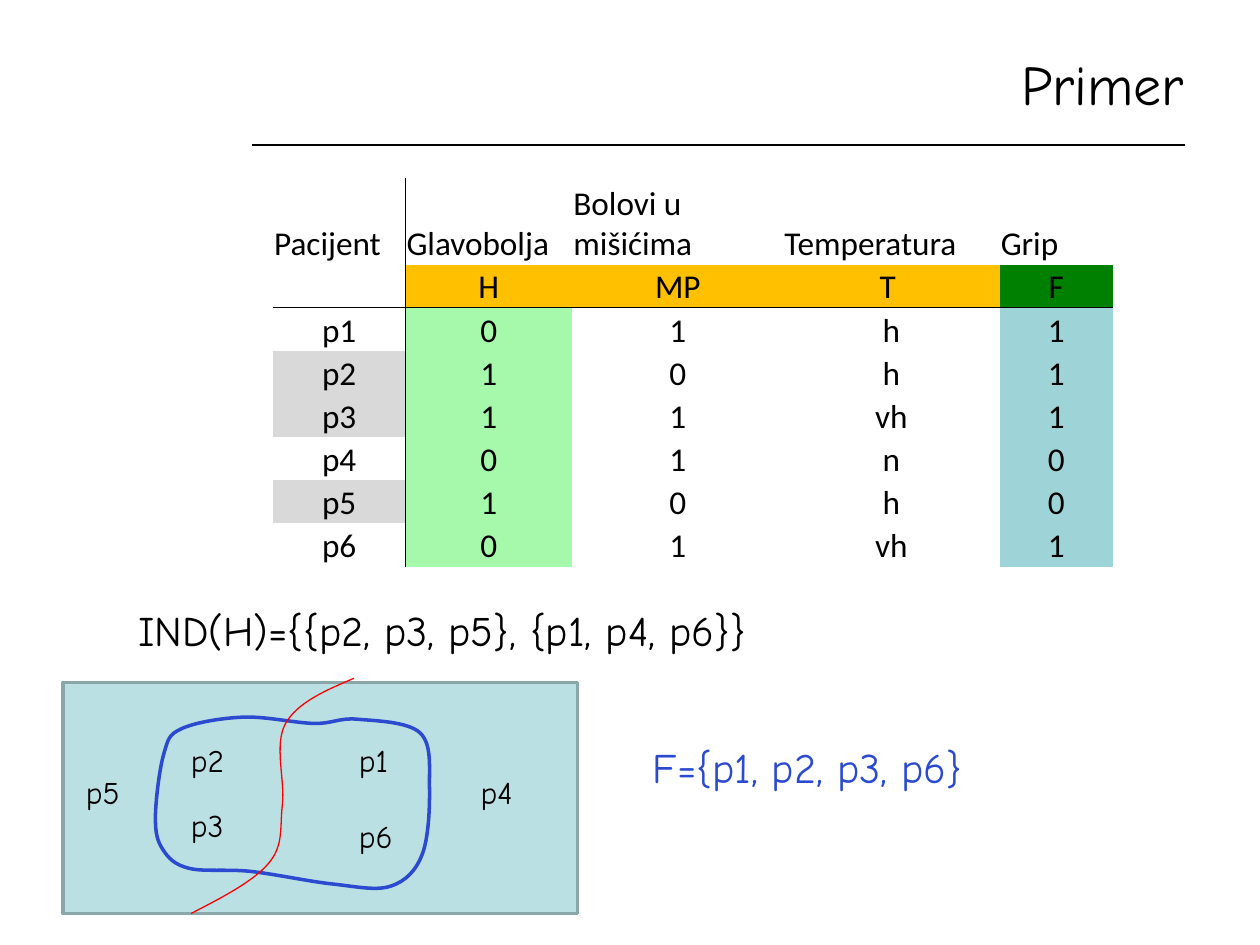
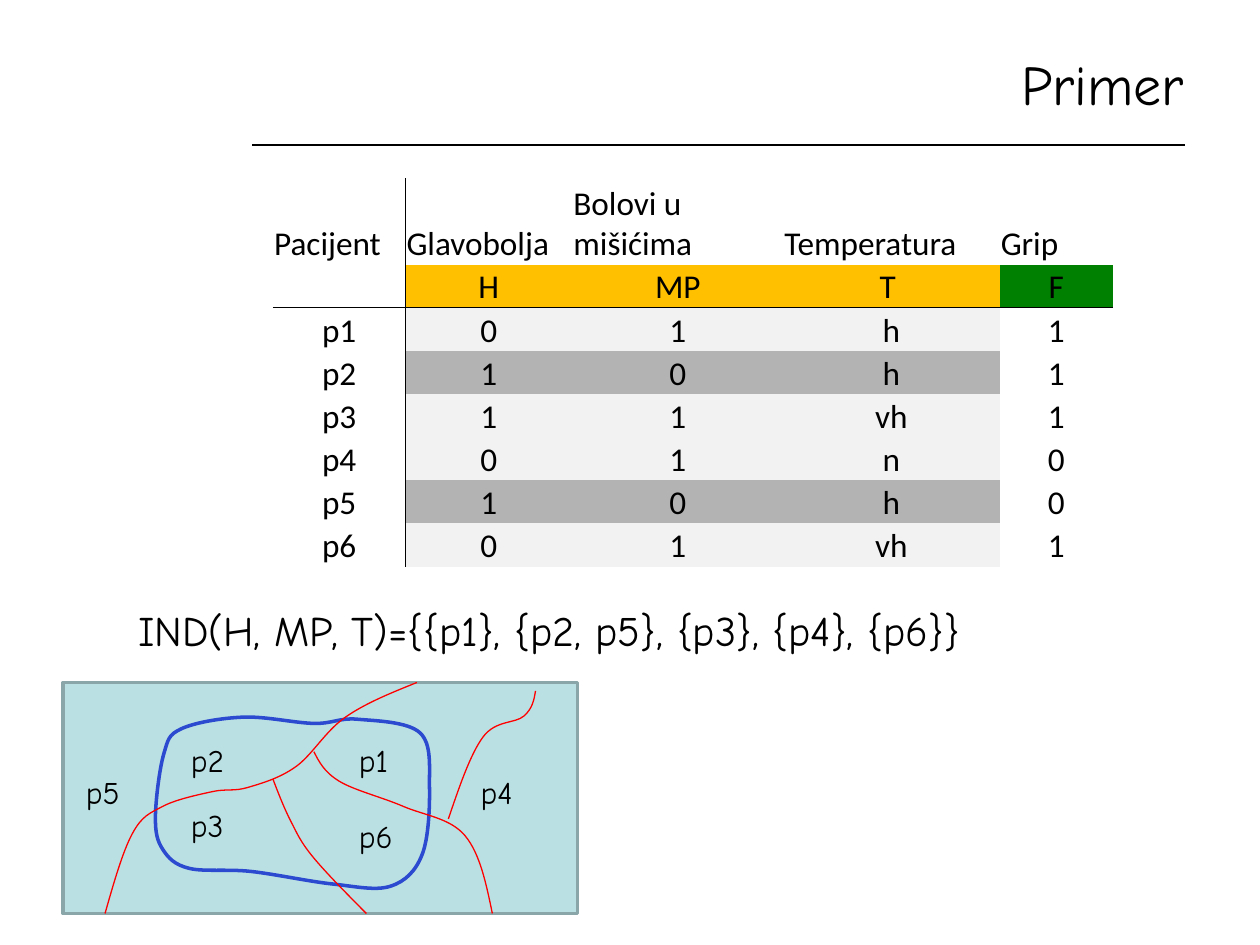
from itertools import product
from lxml.etree import SubElement as Sub
from pptx import Presentation
from pptx.dml.color import RGBColor as RGB
from pptx.enum.shapes import MSO_CONNECTOR as Link, MSO_SHAPE as Form
from pptx.enum.text import MSO_ANCHOR as Anchor, MSO_AUTO_SIZE as Auto, PP_ALIGN as Align
from pptx.oxml.ns import qn
from pptx.util import Inches, Pt

BLACK = RGB(0, 0, 0)
RED = RGB(255, 0, 0)
BLUE = RGB(0x2B, 0x4A, 0xCF)
TEAL = RGB(0xBB, 0xE0, 0xE3)
EDGE = RGB(0x8A, 0xA6, 0xA8)
GOLD = RGB(0xFF, 0xC0, 0)
GREEN = RGB(0, 0x80, 0)
MINT = RGB(0xA6, 0xF8, 0xAA)
AQUA = RGB(0x9E, 0xD3, 0xD7)
SILVER = RGB(0xD9, 0xD9, 0xD9)
PALE = RGB(0xF2, 0xF2, 0xF2)
GREY = RGB(0xB3, 0xB3, 0xB3)

HAND, SANS = "Comic Neue", "Calibri"
COLS, ROWS = 120, 90
WIDTHS = [12.6, 15.9, 20.1, 20.6, 10.8]
HEAD, TALL = 8.2, 37
DATA = [
    ["Pacijent", "Glavobolja", "Bolovi u mišićima", "Temperatura", "Grip"],
    ["", "H", "MP", "T ", "F"],
    ["p1", "0", "1", "h", "1"],
    ["p2", "1", "0", "h", "1"],
    ["p3", "1", "1", "vh", "1"],
    ["p4", "0", "1", "n", "0"],
    ["p5", "1", "0", "h", "0"],
    ["p6", "0", "1", "vh", "1"],
]
CASES = range(2, len(DATA))
TRAITS = range(1, 4)
LABELS = {
    "p2": (17, 70), "p3": (17, 76.2), "p5": (7, 73),
    "p1": (33, 70), "p6": (33, 77.2), "p4": (44.6, 73),
}
LOOP = [
    (17.3, 69.4), (15.6, 71.8), (14.8, 77.8), (15.5, 80.9), (18, 82.7),
    (23.9, 83), (31.7, 84.2), (37.2, 84.4), (40.2, 81.4), (40.9, 75),
    (40, 69.8), (34, 68.5), (29.9, 68.9), (23.2, 68.3), (17.3, 69.4),
]
HALVES = [[(33.7, 64.6), (27.2, 68.9), (26.9, 76.6), (25.6, 82.2), (18.2, 87)]]
PARTS = [
    [(39.7, 65), (32.9, 68.3), (28.2, 73), (23.6, 75), (20.2, 75.4),
     (15.5, 76.8), (12.6, 79.4), (10, 87)],
    [(26, 74.2), (27.7, 78.2), (29.8, 81.6), (34.9, 87)],
    [(29.9, 71.6), (32.3, 74.4), (38.4, 76.8), (44.3, 79.6), (46.9, 87)],
    [(42.7, 78), (46, 70.2), (49.9, 68.2), (51, 65.8)],
]


def assign(item, values):
    for name, value in values.items():
        setattr(item, name, value)


def mix(a, b, share):
    return tuple(m + (n - m) * share for m, n in zip(a, b))


def controls(knots):
    ring = knots[0] == knots[-1]
    before = knots[-2] if ring else None
    after = knots[1] if ring else None
    chain = [before, *knots, after]
    for prev, start, end, nxt in zip(chain, chain[1:], chain[2:], chain[3:]):
        first = prev and tuple(s + (e - p) / 6 for p, s, e in zip(prev, start, end))
        last = nxt and tuple(e - (n - s) / 6 for s, e, n in zip(start, end, nxt))
        yield first or mix(start, last, 0.5), last or mix(first, end, 0.5), end


class Deck:
    def __init__(self):
        self.prs = Presentation()
        assign(self.prs, {"slide_width": Inches(10), "slide_height": Inches(7.5)})
        self.slide = None

    def x(self, cols):
        return round(self.prs.slide_width * cols / COLS)

    def y(self, rows):
        return round(self.prs.slide_height * rows / ROWS)

    def box(self, left, top, width, height):
        return self.x(left), self.y(top), self.x(width), self.y(height)

    def put(self, frame, text, size, face=HAND, color=BLACK, align=Align.LEFT):
        para = frame.paragraphs[0]
        para.alignment = align
        run = para.add_run()
        run.text = text
        assign(run.font, {"size": Pt(size), "name": face, "bold": False})
        run.font.color.rgb = color

    def stroke(self, item, color, width):
        item.line.color.rgb = color
        item.line.width = Pt(width)

    def page(self, title):
        self.slide = self.prs.slides.add_slide(self.prs.slide_layouts[5])
        self.rule(24, 13.8, 112.9)
        head = self.slide.shapes.title
        left, top, width, height = self.box(24, 3.4, 90, 9)
        assign(head, {"left": left, "top": top, "width": width, "height": height})
        head.text_frame.vertical_anchor = Anchor.MIDDLE
        self.put(head.text_frame, title, 32, align=Align.RIGHT)

    def rule(self, left, top, right):
        line = self.slide.shapes.add_connector(
            Link.STRAIGHT, self.x(left), self.y(top), self.x(right), self.y(top))
        self.stroke(line, BLACK, 0.75)
        Sub(line._element.spPr, qn("a:effectLst"))

    def text(self, text, area, size, color=BLACK, wrap=True):
        frame = self.slide.shapes.add_textbox(*self.box(*area)).text_frame
        fit = Auto.NONE if wrap else Auto.SHAPE_TO_FIT_TEXT
        assign(frame, {"word_wrap": wrap, "auto_size": fit})
        self.put(frame, text, size, color=color)

    def panel(self, *area):
        rect = self.slide.shapes.add_shape(Form.RECTANGLE, *self.box(*area))
        rect.shadow.inherit = False
        rect.fill.solid()
        rect.fill.fore_color.rgb = TEAL
        self.stroke(rect, EDGE, 2)

    def curve(self, knots, color, width):
        spots = [(self.x(col), self.y(row)) for col, row in knots]
        pen = self.slide.shapes.build_freeform(*spots[0])
        pen.add_line_segments(spots[1:], close=knots[0] == knots[-1])
        form = pen.convert_to_shape()
        form.shadow.inherit = False
        form.fill.background()
        self.stroke(form, color, width)
        nodes = list(form._element.iter(qn("a:pt")))
        local = [(int(node.get("x")), int(node.get("y"))) for node in nodes]
        for node, trio in zip(nodes[1:], controls(local)):
            step = node.getparent()
            bend = step.makeelement(qn("a:cubicBezTo"))
            for px, py in trio:
                Sub(bend, qn("a:pt"), x=str(round(px)), y=str(round(py)))
            step.getparent().replace(step, bend)

    def edges(self, cell, sides):
        props = cell._tc.get_or_add_tcPr()
        for spot, side in enumerate("LRTB"):
            line = props.makeelement(qn(f"a:ln{side}"), w=str(int(Pt(0.5))))
            if side in sides:
                Sub(Sub(line, qn("a:solidFill")), qn("a:srgbClr"), val=str(BLACK))
            else:
                Sub(line, qn("a:noFill"))
            props.insert(spot, line)

    def table(self, left, top, fills):
        area = self.box(left, top, sum(WIDTHS), TALL)
        grid = self.slide.shapes.add_table(len(DATA), len(WIDTHS), *area).table
        assign(grid, {"first_row": False, "horz_banding": False})
        for col, width in zip(grid.columns, WIDTHS):
            col.width = self.x(width)
        for row, line in enumerate(grid.rows):
            line.height = self.y((TALL - HEAD) / (len(DATA) - 1) if row else HEAD)
        pad = Inches(0.01)
        look = {"vertical_anchor": Anchor.BOTTOM, "margin_left": pad,
                "margin_right": pad, "margin_top": pad, "margin_bottom": 0}
        for row, col in product(range(len(DATA)), range(len(WIDTHS))):
            cell = grid.cell(row, col)
            assign(cell, look)
            if (row, col) in fills:
                cell.fill.solid()
                cell.fill.fore_color.rgb = fills[row, col]
            else:
                cell.fill.background()
            sides = {0: "R", 1: "L"}.get(col, "") + {1: "B", 2: "T"}.get(row, "")
            self.edges(cell, sides)
            if DATA[row][col]:
                align = Align.CENTER if row else Align.LEFT
                self.put(cell.text_frame, DATA[row][col], 19, SANS, align=align)

    def sample(self, fills, claim, cuts):
        self.page("Primer")
        head = {(1, col): GOLD for col in TRAITS} | {(1, 4): GREEN}
        self.table(26, 17, head | fills)
        self.text(claim, (12, 57, 101, 9), 24)
        self.panel(6, 65, 49, 22)
        for name, (left, top) in LABELS.items():
            self.text(name, (left, top, 5.9, 4.8), 18, wrap=False)
        self.curve(LOOP, BLUE, 2)
        for cut in cuts:
            self.curve(cut, RED, 0.75)


def main():
    deck = Deck()
    fills = {(row, 1): MINT for row in CASES}
    fills |= {(row, 4): AQUA for row in CASES}
    fills |= {(row, 0): SILVER for row in CASES if DATA[row][1] == "1"}
    deck.sample(fills, "IND(H)={{p2, p3, p5}, {p1, p4, p6}}", HALVES)
    deck.text("F={p1, p2, p3, p6}", (61, 70, 42, 9), 24, BLUE)

    traits = [DATA[row][1:4] for row in CASES]
    fills = {(row, col): GREY if traits.count(DATA[row][1:4]) > 1 else PALE
             for row, col in product(CASES, TRAITS)}
    deck.sample(fills, "IND(H, MP, T)={{p1}, {p2, p5}, {p3}, {p4}, {p6}}", PARTS)
    deck.prs.save("out.pptx")


if __name__ == "__main__":
    main()
